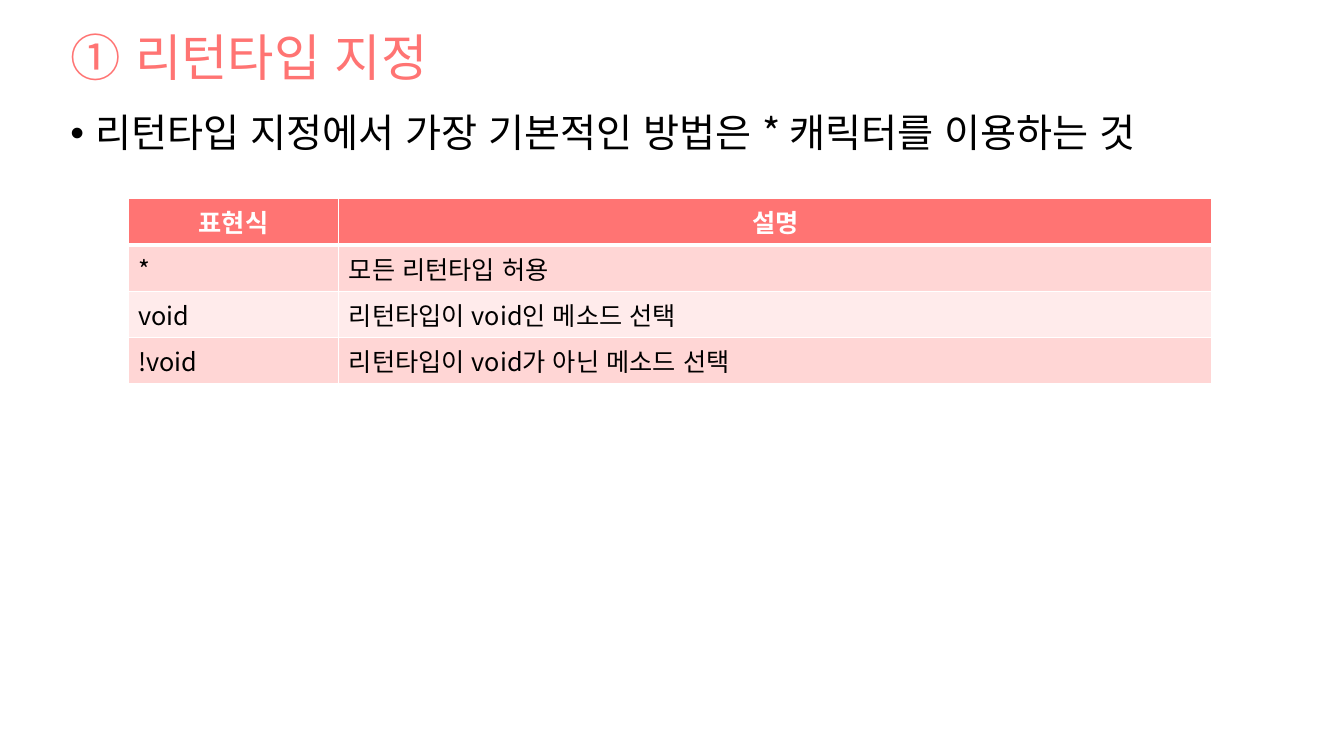
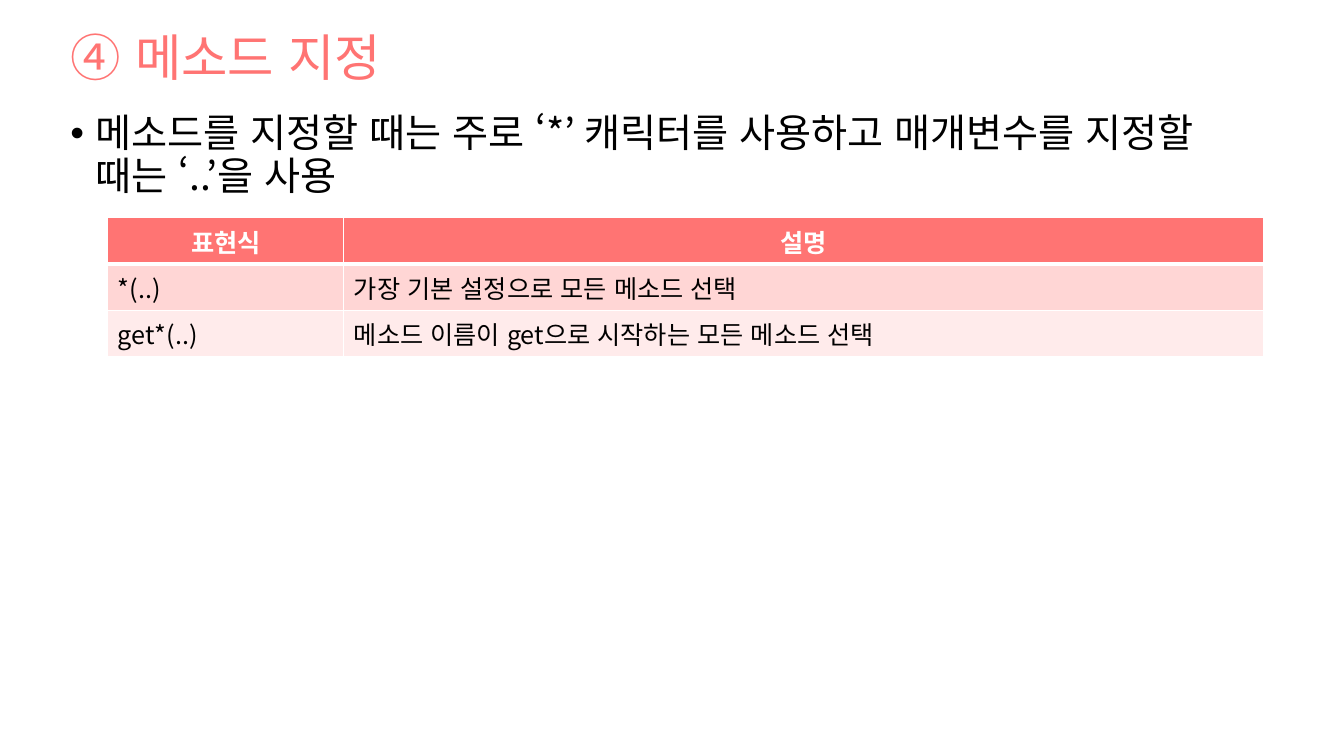
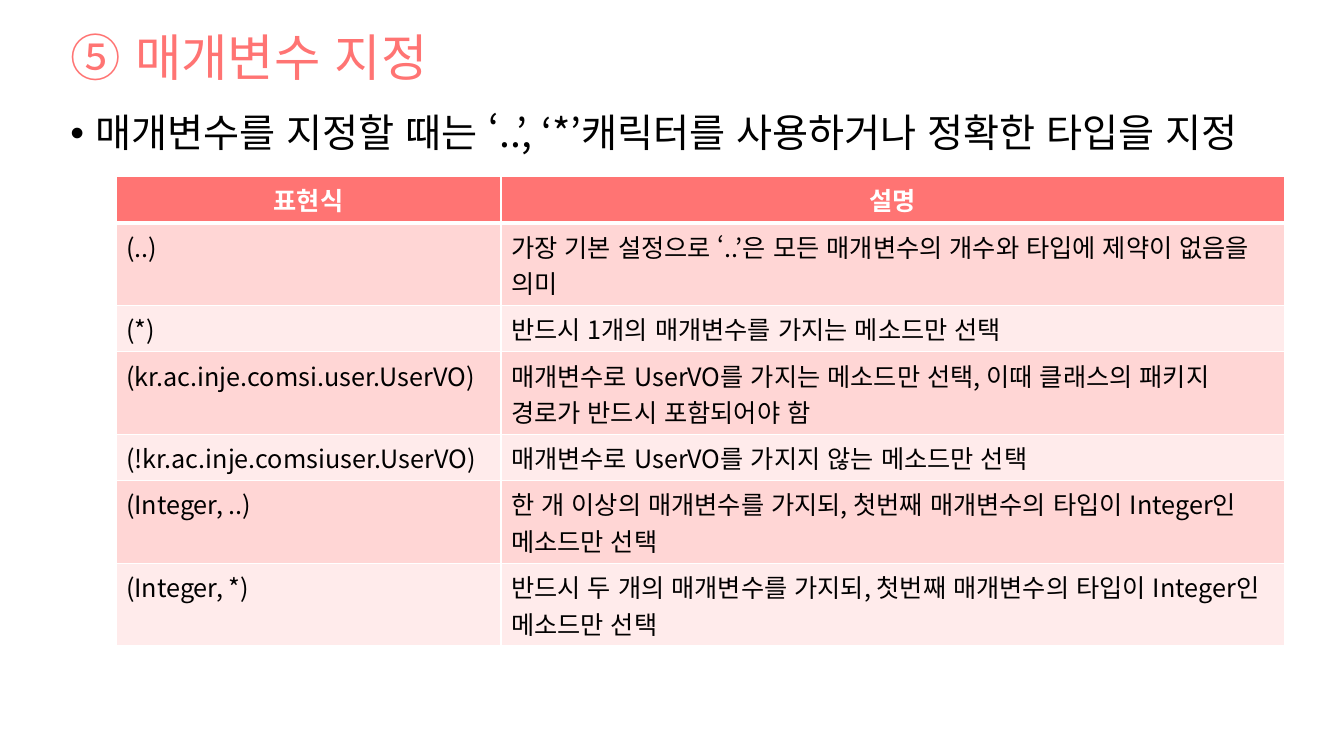
from lxml import etree
from pptx import Presentation
from pptx.dml.color import RGBColor
from pptx.enum.lang import MSO_LANGUAGE_ID
from pptx.enum.text import MSO_ANCHOR, PP_ALIGN
from pptx.oxml.ns import qn
from pptx.util import Inches, Pt

LEFT, CENTER = PP_ALIGN.LEFT, PP_ALIGN.CENTER
MIDDLE = MSO_ANCHOR.MIDDLE
KOREAN = MSO_LANGUAGE_ID.KOREAN
TITLE_ONLY = 5

FONT = "Noto Sans CJK KR"
COLORS = {
    "accent": "FF7473",
    "band_dark": "FFD6D5",
    "band_light": "FFEBEB",
    "text": "000000",
    "white": "FFFFFF",
}
MARGIN, CONTENT_WIDTH = 0.6, 12.14
ROW_HEIGHT, TALL_ROW_HEIGHT = 0.46, 0.82
LINE_LENGTH = 40  # characters that fit on one line of the description column
HEADER = ("표현식", "설명")

SLIDES = [
    {
        "title": "① 리턴타입 지정",
        "lead": "리턴타입 지정에서 가장 기본적인 방법은 * 캐릭터를 이용하는 것",
        "lead_height": 0.58,
        "table_at": (1.27, 1.97),
        "columns": (2.09, 8.66),
        "rows": [
            ("*", "모든 리턴타입 허용"),
            ("void", "리턴타입이 void인 메소드 선택"),
            ("!void", "리턴타입이 void가 아닌 메소드 선택"),
        ],
    },
    {
        "title": "④ 메소드 지정",
        "lead": "메소드를 지정할 때는 주로 ‘*’ 캐릭터를 사용하고 매개변수를 지정할 때는 ‘..’을 사용",
        "lead_height": 6.27,
        "table_at": (1.07, 2.16),
        "columns": (2.34, 9.12),
        "rows": [
            ("*(..)", "가장 기본 설정으로 모든 메소드 선택"),
            ("get*(..)", "메소드 이름이 get으로 시작하는 모든 메소드 선택"),
        ],
    },
    {
        "title": "⑤ 매개변수 지정",
        "lead": "매개변수를 지정할 때는 ‘..’, ‘*’캐릭터를 사용하거나 정확한 타입을 지정",
        "lead_height": 6.27,
        "table_at": (1.15, 1.75),
        "columns": (3.82, 7.77),
        "rows": [
            ("(..)", "가장 기본 설정으로 ‘..’은 모든 매개변수의 개수와 타입에 제약이 없음을 의미"),
            ("(*)", "반드시 1개의 매개변수를 가지는 메소드만 선택"),
            ("(kr.ac.inje.comsi.user.UserVO)",
             "매개변수로 UserVO를 가지는 메소드만 선택, 이때 클래스의 패키지 경로가 반드시 포함되어야 함"),
            ("(!kr.ac.inje.comsiuser.UserVO)", "매개변수로 UserVO를 가지지 않는 메소드만 선택"),
            ("(Integer, ..)",
             "한 개 이상의 매개변수를 가지되, 첫번째 매개변수의 타입이 Integer인 메소드만 선택"),
            ("(Integer, *)",
             "반드시 두 개의 매개변수를 가지되, 첫번째 매개변수의 타입이 Integer인 메소드만 선택"),
        ],
    },
]


def write(paragraph, text, size, color, bold=False, align=LEFT):
    paragraph.text = text
    paragraph.alignment = align
    for run in paragraph.runs:
        font = run.font
        font.name, font.size, font.bold = FONT, Pt(size), bold
        font.language_id = KOREAN
        font.color.rgb = RGBColor.from_string(COLORS[color])


def place_title(slide, text, left, top, width, height):
    title = slide.shapes.title
    title.left, title.top = Inches(left), Inches(top)
    title.width, title.height = Inches(width), Inches(height)
    title.text_frame.vertical_anchor = MIDDLE
    paragraph = title.text_frame.paragraphs[0]
    write(paragraph, text, 36, "accent")
    paragraph.line_spacing = 0.9


def add_lead(slide, text, left, top, width, height):
    """Add the bulleted sentence under the title."""
    box = slide.shapes.add_textbox(
        Inches(left), Inches(top), Inches(width), Inches(height))
    box.text_frame.word_wrap = True
    paragraph = box.text_frame.paragraphs[0]
    properties = paragraph._p.get_or_add_pPr()
    properties.set("marL", str(Inches(0.25)))
    properties.set("indent", str(Inches(-0.25)))
    etree.SubElement(properties, qn("a:buFont"), typeface="Arial")
    etree.SubElement(properties, qn("a:buChar"), char="•")
    write(paragraph, text, 28, "text")
    paragraph.line_spacing = 0.9


def fill_cell(cell, text, fill, **style):
    cell.fill.solid()
    cell.fill.fore_color.rgb = RGBColor.from_string(COLORS[fill])
    write(cell.text_frame.paragraphs[0], text, 18, **style)


def set_border(cell, side, points):
    """Draw a white border on one side: lnL, lnR, lnT or lnB."""
    line = etree.Element(qn(f"a:{side}"), w=str(Pt(points)))
    solid = etree.SubElement(line, qn("a:solidFill"))
    etree.SubElement(solid, qn("a:srgbClr"), val=COLORS["white"])
    cell._tc.get_or_add_tcPr().insert(0, line)


def add_expression_table(slide, left, top, columns, rows):
    heights = [ROW_HEIGHT] + [
        TALL_ROW_HEIGHT if len(description) > LINE_LENGTH else ROW_HEIGHT
        for _, description in rows]
    table = slide.shapes.add_table(
        len(heights), len(columns), Inches(left), Inches(top),
        Inches(sum(columns)), Inches(sum(heights))).table
    for column, width in zip(table.columns, columns):
        column.width = Inches(width)
    for row, height in zip(table.rows, heights):
        row.height = Inches(height)
    for cell, text in zip(table.rows[0].cells, HEADER):
        fill_cell(cell, text, "accent", color="white", bold=True, align=CENTER)
        set_border(cell, "lnB", 3)
    for index, texts in enumerate(rows, start=1):
        band = "band_dark" if index % 2 else "band_light"
        for cell, text in zip(table.rows[index].cells, texts):
            fill_cell(cell, text, band, color="text")


def add_expression_slide(deck, content):
    slide = deck.slides.add_slide(deck.slide_layouts[TITLE_ONLY])
    place_title(slide, content["title"], MARGIN, 0.22, CONTENT_WIDTH, 0.75)
    add_lead(slide, content["lead"], MARGIN, 1.08, CONTENT_WIDTH,
             content["lead_height"])
    add_expression_table(slide, *content["table_at"], content["columns"],
                         content["rows"])


def main():
    deck = Presentation()
    deck.slide_width, deck.slide_height = Inches(13.33), Inches(7.5)
    for content in SLIDES:
        add_expression_slide(deck, content)
    deck.save("out.pptx")


if __name__ == "__main__":
    main()
